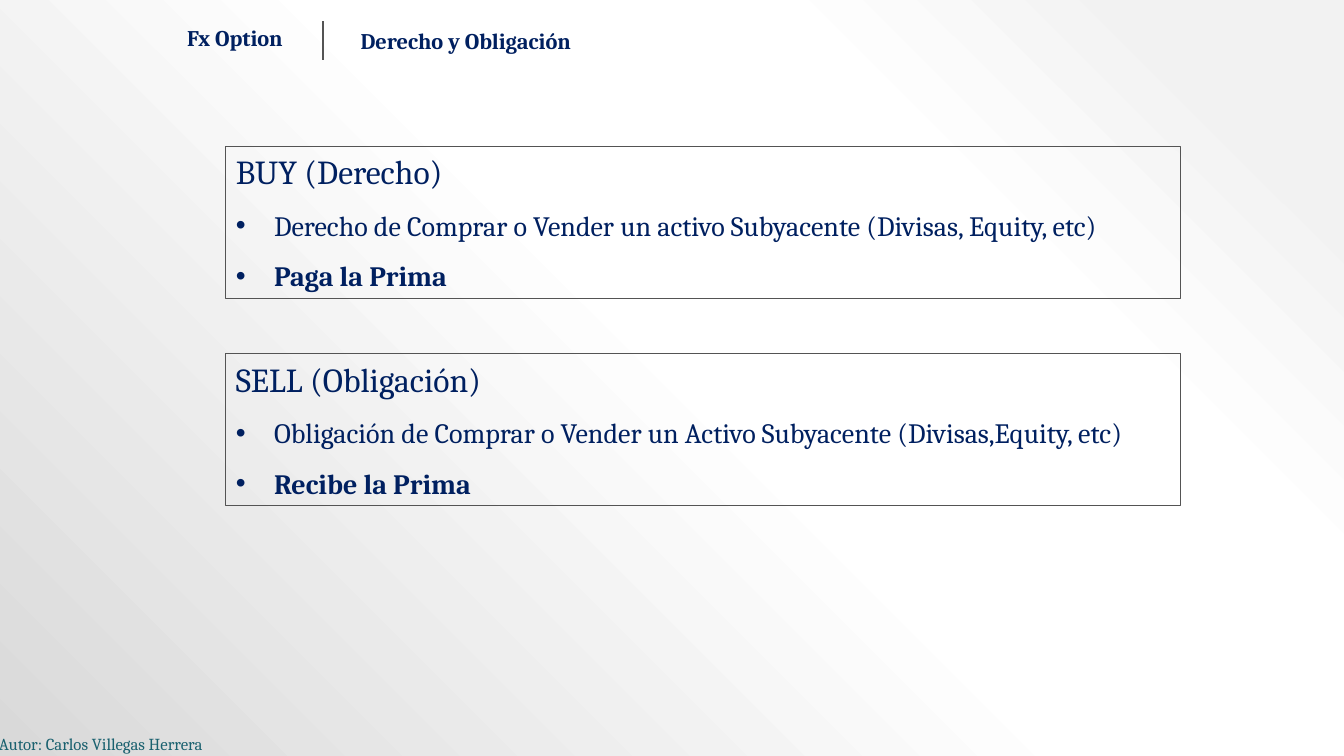
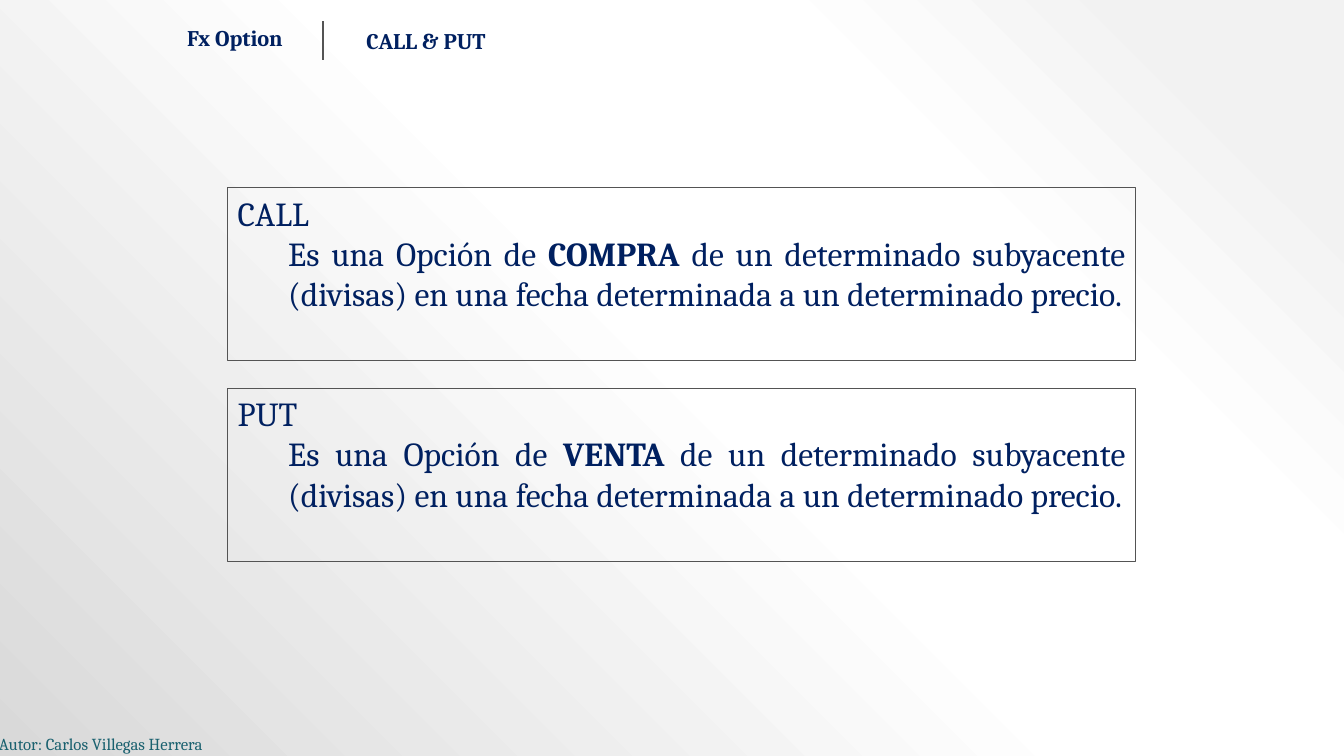
from dataclasses import dataclass

from lxml import etree
from pptx import Presentation
from pptx.dml.color import RGBColor
from pptx.enum.shapes import MSO_CONNECTOR, MSO_SHAPE
from pptx.enum.text import MSO_ANCHOR, MSO_AUTO_SIZE, PP_ALIGN
from pptx.oxml import parse_xml
from pptx.oxml.ns import nsdecls, qn
from pptx.util import Emu, Pt

PX = 9144
TITLE_ONLY = 5
STRAIGHT = MSO_CONNECTOR.STRAIGHT
RECTANGLE = MSO_SHAPE.RECTANGLE
TOP, MIDDLE = MSO_ANCHOR.TOP, MSO_ANCHOR.MIDDLE
NO_AUTOFIT = MSO_AUTO_SIZE.NONE
LEFT, CENTER, JUSTIFY = PP_ALIGN.LEFT, PP_ALIGN.CENTER, PP_ALIGN.JUSTIFY


@dataclass(frozen=True)
class Theme:
    """Colours, font and type sizes of the presentation."""
    navy: str = "002060"
    teal: str = "1A616F"
    rule: str = "545454"
    backdrop: tuple = ((10, "F2F2F2"), (28, "FFFFFF"), (48, "FFFFFF"), (100, "D9D9D9"))
    font: str = "Cambria"
    author: int = 12
    header: int = 16
    item: int = 20
    heading: int = 24


THEME = Theme()
SLIDE_SIZE = (1333, 750)
AUTHOR_BOX = (-11, 723, 235, 30)
SECTION_BOX = (170, 14, 126, 47)
DIVIDER = (320, 21, 320, 60)

STYLES = {
    "author": {"size": THEME.author, "color": THEME.teal, "paragraph": {"alignment": LEFT}},
    "header": {"size": THEME.header, "bold": True, "paragraph": {"alignment": CENTER}},
    "heading": {"size": THEME.heading, "paragraph": {"alignment": JUSTIFY}},
    "bullet": {"size": THEME.item, "paragraph": {"alignment": LEFT, "line_spacing": 1.5},
               "indent": (38, -38), "mark": "•"},
    "definition": {"size": THEME.heading, "paragraph": {"alignment": JUSTIFY, "level": 1},
                   "indent": (50, 0)},
}


def definition(kind):
    """Return the runs that define one kind of option."""
    return [("Es una Opción de ", False), (kind, True),
            (" de un determinado subyacente (divisas) en una fecha determinada"
             " a un determinado precio.", False)]


SLIDES = [
    {"title": "Derecho y Obligación", "title_box": (328, 17, 268, 47),
     "panel": (224, 145, 947, 151), "gap": 55,
     "concepts": [
         [("heading", [("BUY (Derecho)", False)]),
          ("bullet", [("Derecho de Comprar o Vender un activo Subyacente"
                       " (Divisas, Equity, etc)", False)]),
          ("bullet", [("Paga la Prima", True)])],
         [("heading", [("SELL (Obligación)", False)]),
          ("bullet", [("Obligación de Comprar o Vender un Activo Subyacente"
                       " (Divisas,Equity, etc)", False)]),
          ("bullet", [("Recibe la Prima", True)])]]},
    {"title": "CALL & PUT", "title_box": (328, 17, 189, 47),
     "panel": (226, 186, 900, 172), "gap": 27,
     "concepts": [
         [("heading", [("CALL", False)]), ("definition", definition("COMPRA"))],
         [("heading", [("PUT", False)]), ("definition", definition("VENTA"))]]},
]


def emu(lengths):
    """Turn px lengths into EMU."""
    return [Emu(length * PX) for length in lengths]


def apply(target, formats):
    """Set every attribute named in a dict of format values."""
    for name, value in formats.items():
        setattr(target, name, value)


def write(frame, paragraphs, anchor=MIDDLE, wrap=True):
    """Fill a text frame with styled paragraphs."""
    apply(frame, {"auto_size": NO_AUTOFIT, "word_wrap": wrap, "vertical_anchor": anchor})
    for number, (style_name, runs) in enumerate(paragraphs):
        style = STYLES[style_name]
        paragraph = frame.add_paragraph() if number else frame.paragraphs[0]
        apply(paragraph, style["paragraph"])
        properties = paragraph._p.get_or_add_pPr()
        if "indent" in style:
            for name, length in zip(("marL", "indent"), emu(style["indent"])):
                properties.set(name, str(length))
        if "mark" in style:
            etree.SubElement(properties, qn("a:buFont")).set("typeface", "Arial")
            etree.SubElement(properties, qn("a:buChar")).set("char", style["mark"])
        for text, bold in runs:
            run = paragraph.add_run()
            run.text = text
            apply(run.font, {"name": THEME.font, "size": Pt(style["size"]),
                             "bold": bold or style.get("bold", False)})
            run.font.color.rgb = RGBColor.from_string(style.get("color", THEME.navy))


def draw_line(line, width):
    """Give a line the rule colour and a width in points."""
    line.color.rgb = RGBColor.from_string(THEME.rule)
    line.width = Pt(width)


def set_backdrop(master):
    """Give the master a gradient that spreads from the top right corner."""
    master.background.fill.gradient()
    gradient = master.background._cSld.find(".//" + qn("a:gradFill"))
    stops = "".join(f'<a:gs pos="{place * 1000}"><a:srgbClr val="{color}"/></a:gs>'
                    for place, color in THEME.backdrop)
    gradient.getparent().replace(gradient, parse_xml(
        f'<a:gradFill {nsdecls("a")} rotWithShape="1"><a:gsLst>{stops}</a:gsLst>'
        '<a:path path="circle"><a:fillToRect l="100000" b="100000"/></a:path></a:gradFill>'))


def add_label(slide, box, style, text, wrap=True, anchor=MIDDLE):
    """Add one line of text in a box."""
    label = slide.shapes.add_textbox(*emu(box))
    write(label.text_frame, [(style, [(text, False)])], anchor, wrap)


def add_header(slide, title, title_box):
    """Place the divider, the section name and the slide title."""
    divider = slide.shapes.add_connector(STRAIGHT, *emu(DIVIDER))
    draw_line(divider.line, 1.5)
    etree.SubElement(divider._element.spPr, qn("a:effectLst"))
    add_label(slide, SECTION_BOX, "header", "Fx Option")
    heading = slide.shapes.title
    apply(heading, dict(zip(("left", "top", "width", "height"), emu(title_box))))
    write(heading.text_frame, [("header", [(title, False)])])


def add_panels(slide, first_box, gap, concepts):
    """Stack one outlined panel per concept below the first box."""
    left, top, width, height = first_box
    for row, paragraphs in enumerate(concepts):
        panel = slide.shapes.add_shape(
            RECTANGLE, *emu((left, top + row * (height + gap), width, height)))
        panel.shadow.inherit = False
        panel.fill.background()
        draw_line(panel.line, 0.75)
        write(panel.text_frame, paragraphs, TOP)


def add_option_slide(deck, content):
    """Build one slide with its header, panels and author line."""
    slide = deck.slides.add_slide(deck.slide_layouts[TITLE_ONLY])
    add_label(slide, AUTHOR_BOX, "author", "Autor: Carlos Villegas Herrera", False, TOP)
    add_header(slide, content["title"], content["title_box"])
    add_panels(slide, content["panel"], content["gap"], content["concepts"])


def main():
    """Build and save the presentation."""
    deck = Presentation()
    apply(deck, dict(zip(("slide_width", "slide_height"), emu(SLIDE_SIZE))))
    set_backdrop(deck.slide_master)
    for content in SLIDES:
        add_option_slide(deck, content)
    deck.save("out.pptx")


if __name__ == "__main__":
    main()
